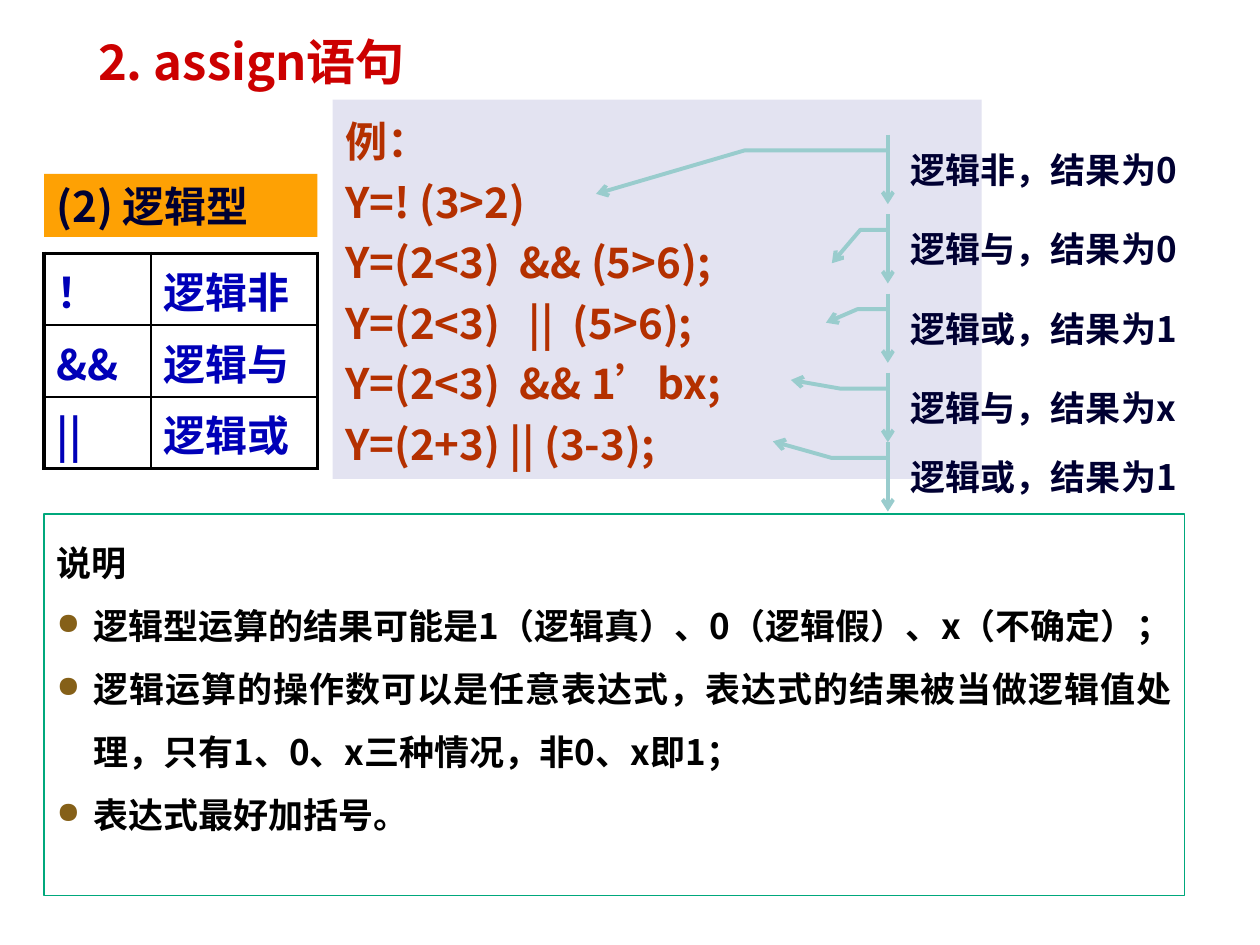
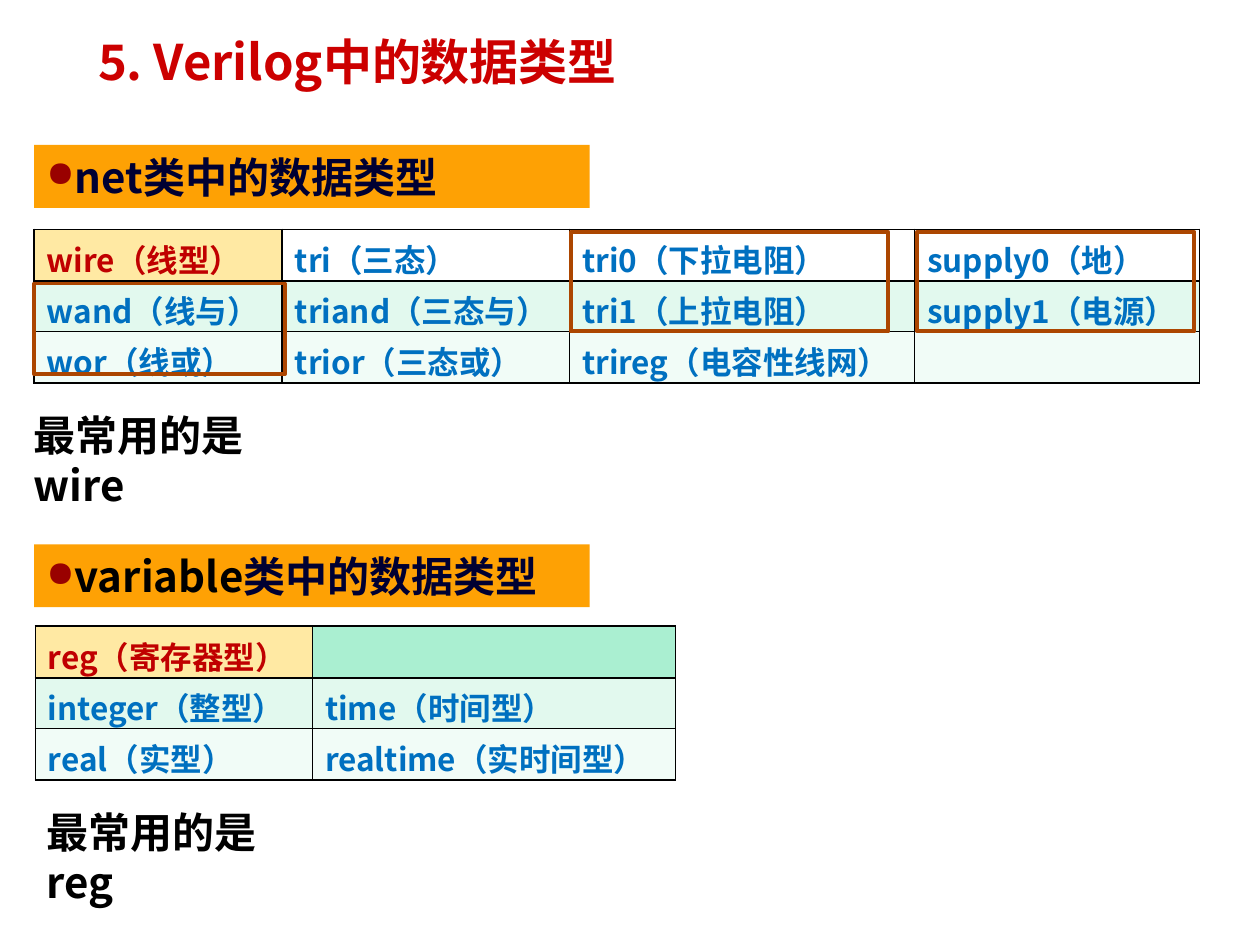
from pptx import Presentation
from pptx.dml.color import RGBColor as Rgb
from pptx.enum.shapes import MSO_SHAPE as Form
from pptx.enum.text import MSO_ANCHOR as Anchor, PP_ALIGN as Align
from pptx.oxml.ns import qn
from pptx.util import Inches, Pt
from lxml.etree import SubElement as Sub

FONT = "Noto Sans CJK SC"
HUES = {
    "title": "CC0000", "band": "FEA104", "navy": "000032", "black": "000000",
    "blue": "0000B8", "code": "B43000", "panel": "E3E3F1", "arrow": "99CCCD",
    "note": "00A87C", "dot": "856018", "mark": "990100", "frame": "AC4600",
    "key": "C00000", "type": "0070C0", "gold": "FFE9A3", "white": "FFFFFF",
    "mint": "AAEFD1", "pale": "E2F9EE", "faint": "F1FCF7",
}


def hue(name):
    return Rgb.from_string(HUES[name])


def place(*box):
    return [Inches(n) for n in box]


# Text
def style(run, size, color):
    font = run.font
    font.name, font.size, font.bold = FONT, Pt(size), True
    font.color.rgb = hue(color)
    Sub(run._r.get_or_add_rPr(), qn("a:ea"), typeface=FONT)


def bullet(par, color):
    props = par._p.get_or_add_pPr()
    tint = Sub(props, qn("a:buClr"))
    Sub(tint, qn("a:srgbClr"), val=HUES[color])
    Sub(props, qn("a:buSzPct"), val="85000")
    Sub(props, qn("a:buChar"), char="●")


def write(frame, text, size, color, anchor=Anchor.TOP):
    frame.text = text
    frame.word_wrap = True
    frame.vertical_anchor = anchor
    for par in frame.paragraphs:
        par.alignment = Align.LEFT
        for run in par.runs:
            style(run, size, color)
    return frame.paragraphs


def label(slide, box, text, size, color, anchor=Anchor.TOP):
    item = slide.shapes.add_textbox(*place(*box))
    write(item.text_frame, text, size, color, anchor)


def title(slide, text):
    label(slide, (0.68, 0.01, 8.52, 0.76), text, 28, "title", Anchor.BOTTOM)


# Shapes
def shape(slide, box, fill=None, line=None, width=2.25, form=Form.RECTANGLE):
    item = slide.shapes.add_shape(form, *place(*box))
    item.shadow.inherit = False
    if fill:
        item.fill.solid()
        item.fill.fore_color.rgb = hue(fill)
    else:
        item.fill.background()
    if line:
        item.line.color.rgb = hue(line)
        item.line.width = Pt(width)
    else:
        item.line.fill.background()
    return item


def band(slide, left, top, width, text, dot=False, lead=""):
    item = shape(slide, (left, top, width, 0.5), "band")
    par = write(item.text_frame, lead or text, 24, "black" if lead else "navy")[0]
    if dot:
        bullet(par, "mark")
    if lead:
        run = par.add_run()
        run.text = text
        style(run, 24, "navy")


def callout(slide, top, text, bend, tip):
    item = shape(slide, (7.13, top, 2.6, 0.55), line="arrow",
                 form=Form.LINE_CALLOUT_2_ACCENT_BAR)
    for i, val in enumerate((0.226, -0.032, 0.226, bend, *tip)):
        item.adjustments[i] = val
    Sub(item.line._get_or_add_ln(), qn("a:tailEnd"), type="arrow")
    write(item.text_frame, text, 20, "navy", Anchor.MIDDLE)


# Tables
def edge(cell, side, width):
    line = Sub(cell._tc.get_or_add_tcPr(), qn("a:ln" + side), w=str(Pt(width)))
    fill = Sub(line, qn("a:solidFill"))
    Sub(fill, qn("a:srgbClr"), val=HUES["black"])


def table(slide, left, top, cols, rows, cells, size, paint, outer=1):
    """paint(row, col) gives the text and fill colours of a cell."""
    box = place(left, top, sum(cols), sum(rows))
    grid = slide.shapes.add_table(len(rows), len(cols), *box).table
    for col, width in zip(grid.columns, cols):
        col.width = Inches(width)
    for r, height in enumerate(rows):
        grid.rows[r].height = Inches(height)
        for c, text in enumerate(cells[r]):
            cell = grid.cell(r, c)
            # Narrow margins keep each entry on one line
            cell.margin_right = Inches(0.04)
            cell.margin_bottom = Inches(0.03)
            ends = {"L": c == 0, "R": c == len(cols) - 1,
                    "T": r == 0, "B": r == len(rows) - 1}
            for side, last in ends.items():
                edge(cell, side, outer if last else 1)
            ink, fill = paint(r, c)
            if fill:
                cell.fill.solid()
                cell.fill.fore_color.rgb = hue(fill)
            else:
                cell.fill.background()
            write(cell.text_frame, text, size, ink)


def types(slide, left, top, cols, cells, head):
    def paint(r, c):
        if r == c == 0:
            return "key", "gold"
        return "type", (head, "pale", "faint")[r]
    table(slide, left, top, cols, (0.41, 0.4, 0.41), cells, 18, paint)


# Slides
def logic(slide):
    band(slide, 0.35, 1.38, 2.17, "(2) 逻辑型")
    cells = [("！", "逻辑非"), ("&&", "逻辑与"), ("||", "逻辑或")]
    table(slide, 0.35, 2.01, (0.85, 1.32), [0.57] * 3, cells, 24,
          lambda r, c: ("blue", None), 2.25)

    # Code sample
    code = ("例：", "Y=! (3>2)", "Y=(2<3)  && (5>6);", "Y=(2<3)   ||  (5>6);",
            "Y=(2<3)  && 1’bx;", "Y=(2+3) || (3-3);")
    panel = shape(slide, (2.64, 0.79, 5.15, 3.01), "panel")
    for par in write(panel.text_frame, "\n".join(code), 24, "code"):
        par.line_spacing = 1.2

    # Results
    for top, text, bend, tip in (
            (1.07, "逻辑非，结果为0", -0.47, (0.852, -0.923)),
            (1.7, "逻辑与，结果为0", -0.116, (0.708, -0.203)),
            (2.33, "逻辑或，结果为1", -0.125, (0.421, -0.221)),
            (2.96, "逻辑与，结果为x", -0.178, (0.101, -0.328)),
            (3.51, "逻辑或，结果为1", -0.204, (-0.013, -0.383))):
        callout(slide, top, text, bend, tip)

    # Notes
    notes = ("说明",
             "逻辑型运算的结果可能是1（逻辑真）、0（逻辑假）、x（不确定）；",
             "逻辑运算的操作数可以是任意表达式，表达式的结果被当做逻辑值处理，"
             "只有1、0、x三种情况，非0、x即1；",
             "表达式最好加括号。")
    box = shape(slide, (0.35, 4.08, 9.05, 3.03), line="note", width=0.75)
    for i, par in enumerate(write(box.text_frame, "\n".join(notes), 20, "black")):
        par.alignment = Align.JUSTIFY
        par.line_spacing = 1.5
        props = par._p.get_or_add_pPr()
        props.set("marL", str(Inches(0.29)))
        props.set("indent", str(Inches(-0.29)))
        if i:
            bullet(par, "dot")
    title(slide, "2. assign语句")


def data(slide):
    # Nets
    band(slide, 0.27, 1.15, 4.41, "net类中的数据类型", True)
    types(slide, 0.27, 1.82, (1.97, 2.28, 2.74, 2.26), [
        ("wire（线型）", "tri（三态）", "tri0（下拉电阻）", "supply0（地）"),
        ("wand（线与）", "triand（三态与）", "tri1（上拉电阻）", "supply1（电源）"),
        ("wor（线或）", "trior（三态或）", "trireg（电容性线网）", ""),
    ], "white")
    label(slide, (0.17, 3.2, 2.2, 0.9), "最常用的是wire", 24, "black")

    # Variables
    band(slide, 0.27, 4.32, 4.41, "类中的数据类型", True, "variable")
    types(slide, 0.28, 4.97, (2.2, 2.88), [
        ("reg（寄存器型）", ""),
        ("integer（整型）", "time（时间型）"),
        ("real（实型）", "realtime（实时间型）"),
    ], "mint")
    label(slide, (0.27, 6.35, 2.2, 0.9), "最常用的是reg", 24, "black")

    # Frames round related types
    for box in ((4.53, 1.84, 2.52, 0.79), (7.28, 1.84, 2.2, 0.79),
                (0.27, 2.25, 1.99, 0.72)):
        shape(slide, box, line="frame")
    title(slide, "5. Verilog中的数据类型")


def main():
    deck = Presentation()
    deck.slide_width, deck.slide_height = Inches(10), Inches(7.5)
    for build in (logic, data):
        build(deck.slides.add_slide(deck.slide_layouts[6]))
    deck.save("out.pptx")


if __name__ == "__main__":
    main()
